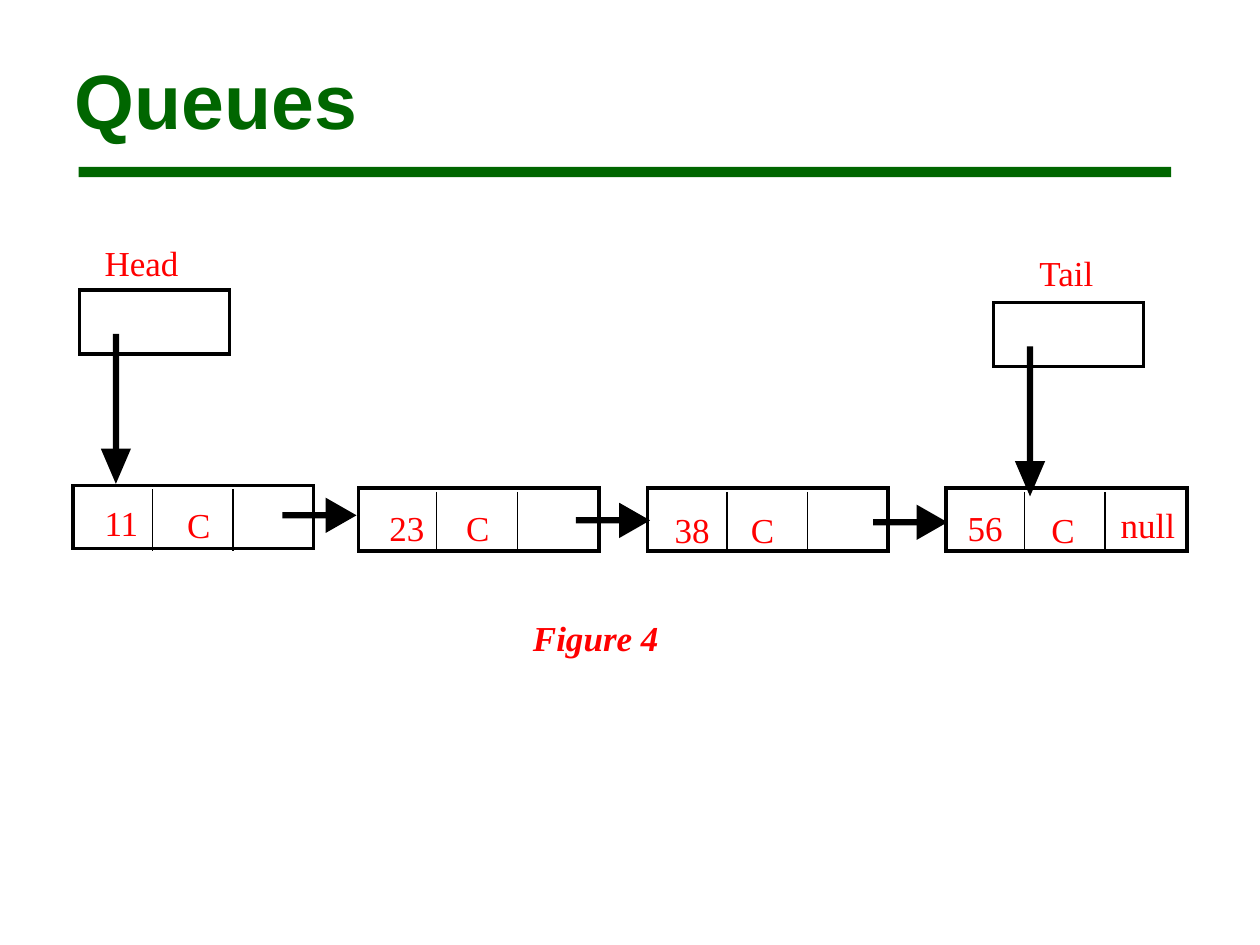
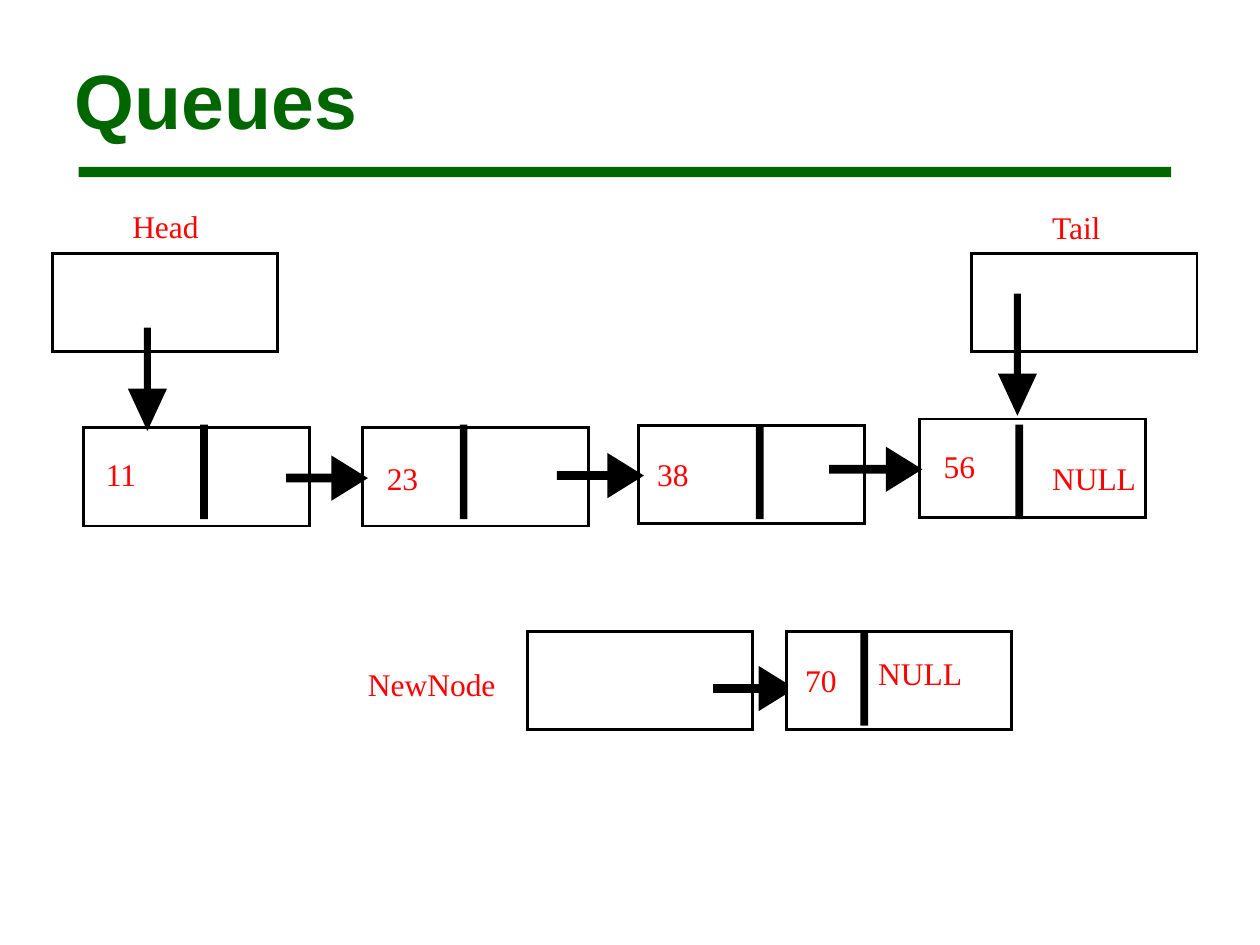
"""Build two slides showing linked-list queues on a grid of 100 columns by 75 rows."""
import pptx
import pptx.dml.color
import pptx.enum.shapes
import pptx.enum.text
import pptx.oxml
import pptx.oxml.ns
import pptx.util

GREEN = pptx.dml.color.RGBColor(0x00, 0x66, 0x00)
RED = pptx.dml.color.RGBColor(0xFF, 0x00, 0x00)
BLACK = pptx.dml.color.RGBColor(0x00, 0x00, 0x00)
WHITE = pptx.dml.color.RGBColor(0xFF, 0xFF, 0xFF)

COLUMNS = 100
DECK_WIDTH = pptx.util.Inches(10)
DECK_HEIGHT = pptx.util.Inches(7.5)
TITLE = "Queues"
TITLE_AREA = (5.95, 4.15, 84, 7)
TITLE_BAND = (6.25, 13.24, 86.7, 0.83)
LABEL_SIZE = (14, 3.5)
HAIRLINE = 0.75

THREE_FIELD_QUEUE = {
    "text_size": 20,
    "border": 2,
    "pointer_box": (11.9, 5.1),
    "node_box": (19.1, 5),
    "divider_span": (0.3, 4.85),
    "divider_bar": None,
    "down_arrow": {"bar": 0.5, "head": (2.8, 2.4)},
    "right_arrow": {"bar": 0.5, "head": (2.45, 2.8)},
    "layers": [{
        "pointers": [(6.3, 23), (78.85, 24)],
        "nodes": [(5.8, 38.55), (28.45, 38.75), (51.4, 38.75), (75.1, 38.75)],
        "dividers": [(6.3, 12.7), (6.2, 12.65), (6.3, 12.7), (6.2, 12.6)],
        "down_arrows": [(9.2, 26.5, 38.4), (81.75, 27.5, 39.4)],
        "right_arrows": [(22.4, 40.9, 28.3), (45.7, 41.3, 51.6), (69.3, 41.45, 75.2)],
        "labels": [
            ("Head", 8.3, 19.2), ("Tail", 82.5, 19.95),
            ("11", 8.3, 39.8), ("C", 14.85, 39.95),
            ("23", 30.9, 40.2), ("C", 37, 40.2),
            ("38", 53.55, 40.35), ("C", 59.6, 40.35),
            ("56", 76.8, 40.2), ("C", 83.45, 40.35), ("null", 88.95, 39.95),
        ],
        "caption": ("Figure 4", 42.3, 48.9),
    }],
}

TWO_FIELD_QUEUE = {
    "text_size": 18,
    "border": 1.62,
    "pointer_box": (17.9, 7.8),
    "node_box": (17.9, 7.8),
    "divider_span": (0, 7.5),
    "divider_bar": 0.62,
    "down_arrow": {"bar": 0.55, "head": (3.35, 3.1)},
    "right_arrow": {"bar": 0.7, "head": (2.9, 3.6)},
    "layers": [
        {
            "pointers": [(4.15, 20.1), (77.1, 20.1)],
            "nodes": [(6.65, 33.95), (28.8, 33.95), (50.7, 33.75), (73, 33.25)],
            "dividers": [(9.55,), (8,), (9.6,), (7.9,)],
            "divider_top": 33.7,
            "down_arrows": [(11.7, 26, 34.2), (80.75, 23.3, 33)],
            "right_arrows": [(22.7, 37.95, 29.2), (44.2, 37.75, 51.1),
                             (65.8, 37.25, 73.2)],
            "labels": [
                ("Head", 10.5, 16.4), ("Tail", 83.5, 16.5),
                ("11", 8.4, 36.15), ("23", 30.7, 36.4), ("38", 52.15, 36.15),
                ("56", 74.9, 35.5), ("NULL", 83.5, 36.4),
            ],
        },
        {
            "pointers": [(41.85, 50.1)],
            "right_arrows": [(56.6, 54.65, 63.1)],
            "labels": [("NewNode", 29.2, 52.8)],
        },
        {
            "nodes": [(62.4, 50.1)],
            "dividers": [(6.2,)],
            "labels": [("70", 63.9, 52.45), ("NULL", 69.7, 51.9)],
        },
    ],
}


def grid(*values):
    """Turn grid columns into slide lengths."""
    return [round(DECK_WIDTH * value / COLUMNS) for value in values]


def paint(shape, fill):
    """Give a shape a plain fill, without line or shadow."""
    shape.shadow.inherit = False
    shape.fill.solid()
    shape.fill.fore_color.rgb = fill
    shape.line.fill.background()


def add_box(page, area, fill, border=None):
    """Add a plain rectangle, outlined in black when a border width is given."""
    box = page.shapes.add_shape(
        pptx.enum.shapes.MSO_SHAPE.RECTANGLE, *grid(*area))
    paint(box, fill)
    if border is not None:
        box.line.color.rgb = BLACK
        box.line.width = pptx.util.Pt(border)
        box.line._get_or_add_ln().append(pptx.oxml.parse_xml(
            f'<a:miter {pptx.oxml.ns.nsdecls("a")} lim="800000"/>'))


def add_divider(page, x, top, length, bar):
    """Add a vertical divider: a bar of the given width, or else a hairline."""
    if bar:
        add_box(page, (x - bar / 2, top, bar, length), BLACK)
        return
    line = page.shapes.add_connector(
        pptx.enum.shapes.MSO_CONNECTOR.STRAIGHT, *grid(x, top, x, top + length))
    line.line.color.rgb = BLACK
    line.line.width = pptx.util.Pt(HAIRLINE)
    line._element.spPr.append(
        pptx.oxml.parse_xml(f'<a:effectLst {pptx.oxml.ns.nsdecls("a")}/>'))


def add_head(page, corners):
    """Add a solid triangle."""
    first, *others = [tuple(grid(*corner)) for corner in corners]
    builder = page.shapes.build_freeform(*first)
    builder.add_line_segments(others, close=True)
    paint(builder.convert_to_shape(), BLACK)


def add_down_arrow(page, x, top, tip, bar, head):
    """Add a bar that ends in a triangle pointing down."""
    length, width = head
    base = tip - length
    add_box(page, (x - bar / 2, top, bar, base - top + 0.3), BLACK)
    add_head(page, [(x - width / 2, base), (x, tip), (x + width / 2, base)])


def add_right_arrow(page, left, y, tip, bar, head):
    """Add a bar that ends in a triangle pointing right."""
    length, width = head
    base = tip - length
    add_box(page, (left, y - bar / 2, base - left + 0.3, bar), BLACK)
    add_head(page, [(base, y + width / 2), (tip, y), (base, y - width / 2)])


def add_text(page, text, area, size, font, color, bold=False, italic=False):
    """Add one run of text in a box without margins."""
    frame = page.shapes.add_textbox(*grid(*area)).text_frame
    frame.word_wrap = True
    frame.margin_left = frame.margin_right = 0
    frame.margin_top = frame.margin_bottom = 0
    frame.vertical_anchor = pptx.enum.text.MSO_ANCHOR.TOP
    span = frame.paragraphs[0].add_run()
    span.text = text
    span.font.size = pptx.util.Pt(size)
    span.font.name = font
    span.font.color.rgb = color
    span.font.bold = bold
    span.font.italic = italic


def add_label(page, queue, label, strong=False):
    """Add a red label at its grid corner."""
    text, *corner = label
    add_text(page, text, (*corner, *LABEL_SIZE), queue["text_size"],
             "Times New Roman", RED, bold=strong, italic=strong)


def add_layer(page, queue, layer):
    """Draw boxes, field dividers, arrows and labels, from back to front."""
    nodes = layer.get("nodes", [])
    for corner in layer.get("pointers", []):
        add_box(page, corner + queue["pointer_box"], WHITE, queue["border"])
    for corner in nodes:
        add_box(page, corner + queue["node_box"], WHITE, queue["border"])
    offset, length = queue["divider_span"]
    for (left, top), steps in zip(nodes, layer.get("dividers", [])):
        start = layer.get("divider_top", top) + offset
        for step in steps:
            add_divider(page, left + step, start, length, queue["divider_bar"])
    for arrow in layer.get("down_arrows", []):
        add_down_arrow(page, *arrow, **queue["down_arrow"])
    for arrow in layer.get("right_arrows", []):
        add_right_arrow(page, *arrow, **queue["right_arrow"])
    for label in layer["labels"]:
        add_label(page, queue, label)
    if "caption" in layer:
        add_label(page, queue, layer["caption"], strong=True)


def main():
    """Build and save the deck."""
    deck = pptx.Presentation()
    deck.slide_width, deck.slide_height = DECK_WIDTH, DECK_HEIGHT
    for queue in (THREE_FIELD_QUEUE, TWO_FIELD_QUEUE):
        page = deck.slides.add_slide(deck.slide_layouts[6])
        add_box(page, TITLE_BAND, GREEN)
        add_text(page, TITLE, TITLE_AREA, 44, "Arial", GREEN, bold=True)
        for layer in queue["layers"]:
            add_layer(page, queue, layer)
    deck.save("out.pptx")


if __name__ == "__main__":
    main()
